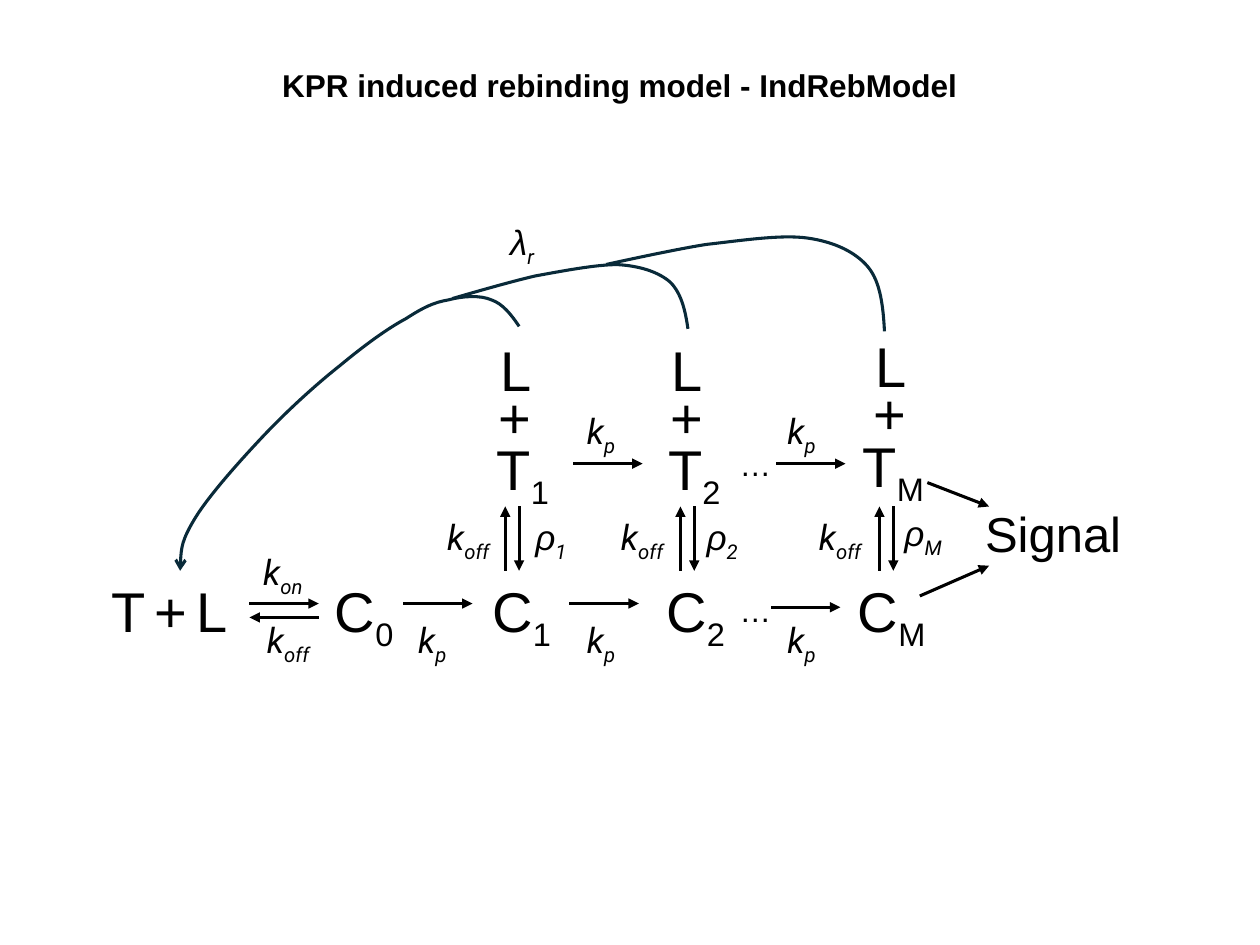
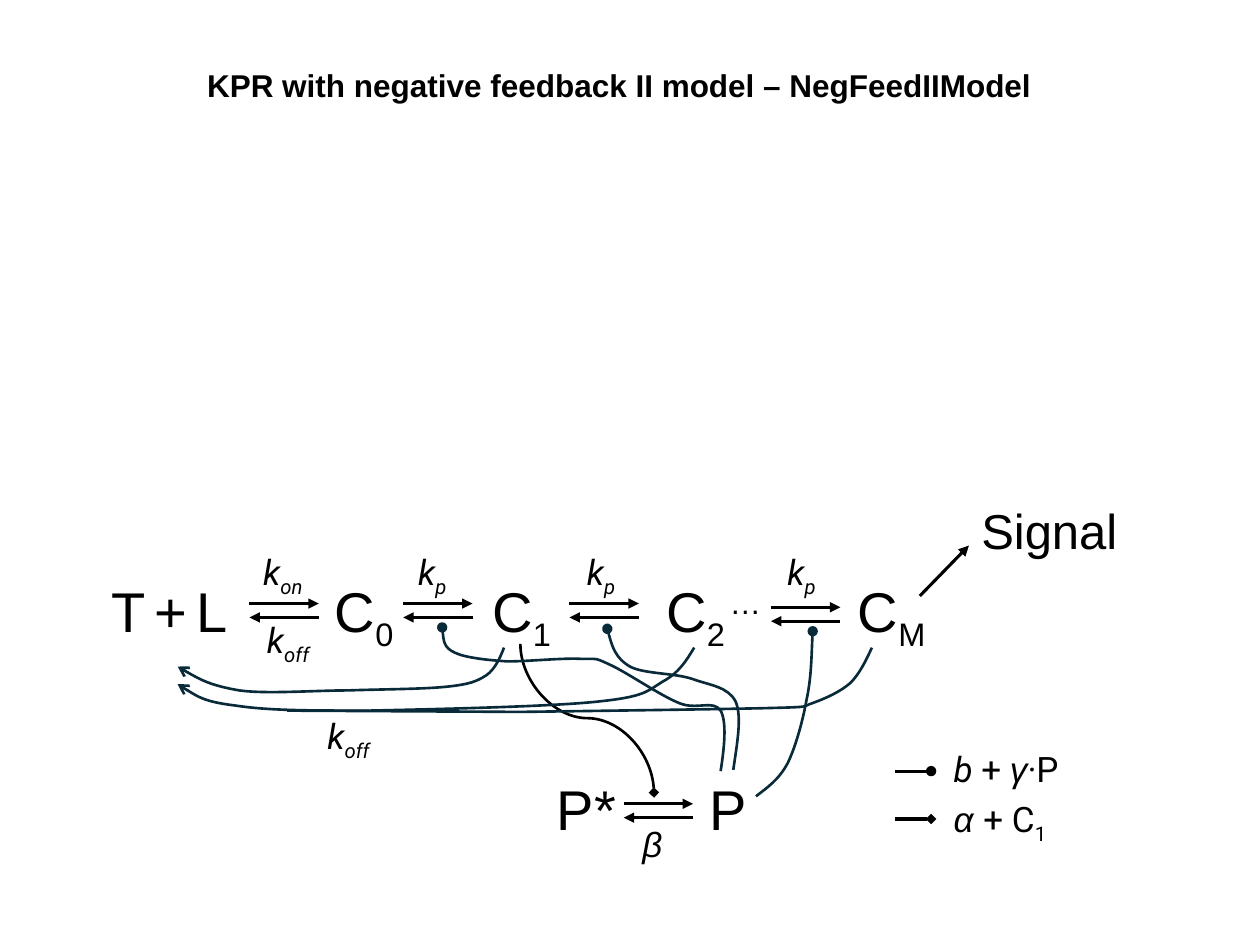
from lxml.etree import SubElement
from pptx import Presentation
from pptx.dml.color import RGBColor
from pptx.enum.shapes import MSO_CONNECTOR
from pptx.enum.text import MSO_ANCHOR, MSO_AUTO_SIZE, PP_ALIGN
from pptx.oxml.ns import qn
from pptx.util import Inches, Pt

COLORS = {"ink": "000000", "curve": "092A39"}

# Run formats
BIG = {"name": "Arial", "size": Pt(32)}
DOT = {"name": "Arial", "size": Pt(18)}
HEAD = {**DOT, "bold": True}
SIGNAL = {"name": "Arial", "size": Pt(28)}
RATE = {"name": "Roboto", "size": Pt(20), "italic": True}
GREEK = {**RATE, "name": "Arial"}
PLAIN = {**RATE, "italic": False}

# Columns of the chain: (arrow left, arrow top, k_p label left)
STEPS = [(3.2, 4.79, 3.22), (4.52, 4.79, 4.56), (6.12, 4.82, 6.15)]
STATES = [("0", 2.56, 0.69), ("1", 3.81, 0.69), ("2", 5.19, 0.69), ("M", 6.71, 0.78)]
REACH = 0.55
GAP = 0.11


def rgb(name):
    return RGBColor.from_string(COLORS[name])


def sub(fmt):
    return {**fmt, "sub": True}


def write(para, runs):
    for text, fmt in runs:
        run = para.add_run()
        run.text = text
        for key, value in fmt.items():
            if key == "sub":
                run.font._element.set("baseline", "-25000")
            else:
                setattr(run.font, key, value)
        run.font.color.rgb = rgb("ink")


def fit(frame):
    settings = {"word_wrap": False, "auto_size": MSO_AUTO_SIZE.SHAPE_TO_FIT_TEXT,
                "vertical_anchor": MSO_ANCHOR.TOP}
    for key, value in settings.items():
        setattr(frame, key, value)


def label(slide, x, y, w, h, *lines, align=PP_ALIGN.LEFT, space=None):
    box = slide.shapes.add_textbox(*map(Inches, (x, y, w, h)))
    frame = box.text_frame
    fit(frame)
    for i, runs in enumerate(lines):
        para = frame.add_paragraph() if i else frame.paragraphs[0]
        para.alignment = align
        para.line_spacing = space
        write(para, runs)


def rate(slide, x, y, index, base="k", w=0.55):
    fmt = RATE if base == "k" else GREEK
    label(slide, x, y, w, 0.44, [(base, fmt), (index, sub(RATE))])


def dots(slide, x, y):
    label(slide, x, y, 0.45, 0.4, [("…", DOT)], align=PP_ALIGN.CENTER)


def stroke(shape, color, width, tip):
    shape.line.color.rgb = rgb(color)
    shape.line.width = Pt(width)
    if tip:
        SubElement(shape.line._get_or_add_ln(), qn("a:tailEnd"), type=tip)


def arrow(slide, x1, y1, x2, y2, tip="triangle", kind=MSO_CONNECTOR.STRAIGHT, width=1.75):
    line = slide.shapes.add_connector(kind, *map(Inches, (x1, y1, x2, y2)))
    stroke(line, "ink", width, tip)
    SubElement(line._element.spPr, qn("a:effectLst"))
    return line


def forth(slide, x, y):
    arrow(slide, x, y, x + REACH, y)


def back(slide, x, y):
    arrow(slide, x + REACH, y + GAP, x, y + GAP)


def curve(slide, start, *points, tip=None, width=1.5):
    """Draw cubic curves: each three points are two controls and an end."""
    pen = slide.shapes.build_freeform(*map(Inches, start), scale=1.0)
    pen.add_line_segments([tuple(map(Inches, p)) for p in points], close=False)
    shape = pen.convert_to_shape()
    outline = shape._element.find(".//" + qn("a:path"))
    lines = outline.findall(qn("a:lnTo"))
    for i in range(0, len(lines), 3):
        bend = SubElement(outline, qn("a:cubicBezTo"))
        for line in lines[i:i + 3]:
            bend.append(line[0])
            outline.remove(line)
    shape.fill.background()
    shape.shadow.inherit = False
    stroke(shape, "curve", width, tip)


def start(deck, text, x, w):
    """Add a slide with its title and the chain both models share."""
    slide = deck.slides.add_slide(deck.slide_layouts[5])
    title = slide.shapes.title
    place = {"left": x, "top": 0.47, "width": w, "height": 0.4}
    for key, value in place.items():
        setattr(title, key, Inches(value))
    fit(title.text_frame)
    para = title.text_frame.paragraphs[0]
    para.alignment = PP_ALIGN.CENTER
    write(para, [(text, HEAD)])

    # Binding step
    label(slide, 0.79, 4.53, 1.13, 0.64,
          [("T", BIG), (" ", DOT), ("+", BIG), (" ", DOT), ("L", BIG)])
    forth(slide, 1.98, 4.79)
    back(slide, 1.98, 4.79)
    rate(slide, 1.99, 4.32, "on")
    rate(slide, 2.02, 4.86, "off")

    # Chain of complexes
    for index, left, wide in STATES:
        label(slide, left, 4.53, wide, 0.64, [("C", BIG), (index, sub(BIG))])
    for left, top, _ in STEPS:
        forth(slide, left, top)
    return slide


def rebind(deck):
    slide = start(deck, "KPR induced rebinding model - IndRebModel", 2.11, 5.62)
    for _, _, left in STEPS:
        rate(slide, left, 4.86, "p", w=0.45)
    for _, _, left in STEPS[1:]:
        rate(slide, left, 3.2, "p", w=0.45)
    for left in (4.55, 6.16):
        forth(slide, left, 3.68)
    for top in (4.64, 3.48):
        dots(slide, 5.77, top)

    # Unbound receptors: index, stack, up arrow, k_off and rho positions
    stacks = [("1", 3.83, 2.76, 0.64, 4.01, 3.45, 4.15, 4.04),
              ("2", 5.19, 2.76, 0.64, 5.4, 4.83, 5.51, 4.04),
              ("M", 6.7, 2.73, 0.85, 6.98, 6.4, 7.08, 4.01)]
    for index, x, y, w, up, off, rho, level in stacks:
        tail = "M " if index == "M" else index
        label(slide, x, y, w, 1.24, [("L ", BIG)], [("+ ", BIG)],
              [("T", BIG), (tail, sub(BIG))], align=PP_ALIGN.CENTER, space=0.7)
        arrow(slide, up, 4.53, up, 4.02)
        arrow(slide, up + GAP, 4.02, up + GAP, 4.53)
        rate(slide, off, 4.04, "off")
        rate(slide, rho, level, index, "ρ", 0.46 if index != "M" else 0.51)

    # Rebinding curves
    curve(slide, (4.12, 2.59), (4.06, 2.5), (3.99, 2.41), (3.9, 2.38),
          (3.81, 2.34), (3.67, 2.35), (3.56, 2.38), (3.44, 2.4), (3.36, 2.44), (3.22, 2.53),
          (3.07, 2.61), (2.88, 2.75), (2.7, 2.9), (2.51, 3.05), (2.29, 3.25), (2.1, 3.45),
          (1.91, 3.65), (1.66, 3.93), (1.55, 4.11), (1.44, 4.29), (1.43, 4.41), (1.43, 4.53),
          tip="arrow", width=1.75)
    curve(slide, (5.46, 2.61), (5.44, 2.47), (5.41, 2.33), (5.32, 2.24),
          (5.23, 2.16), (5.08, 2.11), (4.9, 2.1), (4.73, 2.1), (4.47, 2.15), (4.25, 2.19),
          (4.03, 2.24), (3.59, 2.37), (3.59, 2.37), width=1.75)
    curve(slide, (7.02, 2.63), (7.01, 2.44), (6.99, 2.24), (6.89, 2.12),
          (6.79, 2), (6.62, 1.92), (6.41, 1.89), (6.2, 1.86), (5.88, 1.91), (5.61, 1.94),
          (5.35, 1.98), (4.81, 2.1), (4.81, 2.1), width=1.75)
    rate(slide, 3.95, 1.7, "r", "λ", 0.42)

    # Signal
    arrow(slide, 7.3, 4.73, 7.85, 4.49)
    arrow(slide, 7.36, 3.83, 7.85, 4.02)
    label(slide, 7.72, 3.95, 1.3, 0.57, [("Signal", SIGNAL)])


def feedback(deck):
    slide = start(deck, "KPR with negative feedback II model – NegFeedIIModel", 1.51, 6.81)
    for x, y, left in STEPS:
        back(slide, x, y)
        rate(slide, left, 4.32, "p", w=0.45)
    dots(slide, 5.69, 4.58)
    arrow(slide, 7.3, 4.73, 7.69, 4.33)
    label(slide, 7.69, 3.92, 1.3, 0.57, [("Signal", SIGNAL)])

    # Phosphatase
    label(slide, 4.32, 6.1, 0.68, 0.64, [("P*", BIG)])
    label(slide, 5.53, 6.1, 0.5, 0.64, [("P", BIG)])
    forth(slide, 4.95, 6.38)
    back(slide, 4.95, 6.38)
    label(slide, 5, 6.48, 0.36, 0.44, [("β", GREEK)])
    bend = arrow(slide, 5.25, 5.17, 4.07, 6.23, "diamond", MSO_CONNECTOR.CURVE, 1.5)
    bend._element.spPr.find(qn("a:xfrm")).set("rot", "16200000")

    # Feedback on each step
    curve(slide, (6, 6.32), (6.09, 6.25), (6.18, 6.19), (6.25, 6.06),
          (6.31, 5.94), (6.37, 5.73), (6.4, 5.56), (6.44, 5.38), (6.44, 5.19), (6.45, 5.01),
          tip="oval")
    curve(slide, (5.82, 6.11), (5.85, 5.9), (5.89, 5.69), (5.84, 5.57),
          (5.78, 5.45), (5.64, 5.44), (5.5, 5.39), (5.36, 5.34), (5.11, 5.35), (5, 5.29),
          (4.88, 5.22), (4.85, 5.1), (4.82, 4.99), tip="oval")
    curve(slide, (5.72, 6.12), (5.75, 5.93), (5.77, 5.73), (5.72, 5.64),
          (5.66, 5.55), (5.53, 5.64), (5.39, 5.58), (5.24, 5.52), (4.98, 5.34), (4.85, 5.28),
          (4.72, 5.22), (4.75, 5.23), (4.62, 5.23), (4.48, 5.22), (4.2, 5.25), (4.03, 5.25),
          (3.87, 5.24), (3.69, 5.22), (3.61, 5.18), (3.52, 5.14), (3.52, 5.06), (3.51, 4.98),
          tip="oval")

    # Unbinding curves
    curve(slide, (4, 5.14), (3.97, 5.22), (3.93, 5.31), (3.86, 5.36),
          (3.78, 5.41), (3.73, 5.43), (3.55, 5.45), (3.36, 5.47), (3.04, 5.47), (2.76, 5.48),
          (2.49, 5.48), (2.12, 5.51), (1.9, 5.48), (1.67, 5.44), (1.54, 5.37), (1.41, 5.29),
          tip="arrow")
    curve(slide, (5.51, 5.14), (5.45, 5.24), (5.39, 5.34), (5.26, 5.41),
          (5.13, 5.49), (5.12, 5.53), (4.73, 5.57), (4.34, 5.61), (3.4, 5.63), (2.93, 5.64),
          (2.45, 5.64), (2.13, 5.64), (1.87, 5.6), (1.62, 5.57), (1.52, 5.5), (1.41, 5.43),
          tip="arrow")
    curve(slide, (6.92, 5.14), (6.87, 5.25), (6.82, 5.35), (6.75, 5.42),
          (6.67, 5.49), (6.56, 5.54), (6.45, 5.58), (6.35, 5.61), (6.48, 5.61), (6.09, 5.62),
          (5.7, 5.63), (4.13, 5.65), (4.13, 5.65), (4.13, 5.65), (2.28, 5.64), (2.28, 5.64))
    rate(slide, 2.5, 5.62, "off")

    # Legend
    for y, tip in ((6.12, "oval"), (6.5, "diamond")):
        arrow(slide, 7.1, y, 7.39, y, tip)
    label(slide, 7.47, 5.88, 1.06, 0.44,
          [("b ", RATE), ("+ ", PLAIN), ("γ", GREEK), ("·", RATE), ("P", PLAIN)])
    label(slide, 7.47, 6.28, 1, 0.44, [("α ", GREEK), ("+ C", PLAIN), ("1", sub(PLAIN))])


def main():
    deck = Presentation()
    deck.slide_width, deck.slide_height = Inches(10), Inches(7.5)
    rebind(deck)
    feedback(deck)
    deck.save("out.pptx")


if __name__ == "__main__":
    main()
